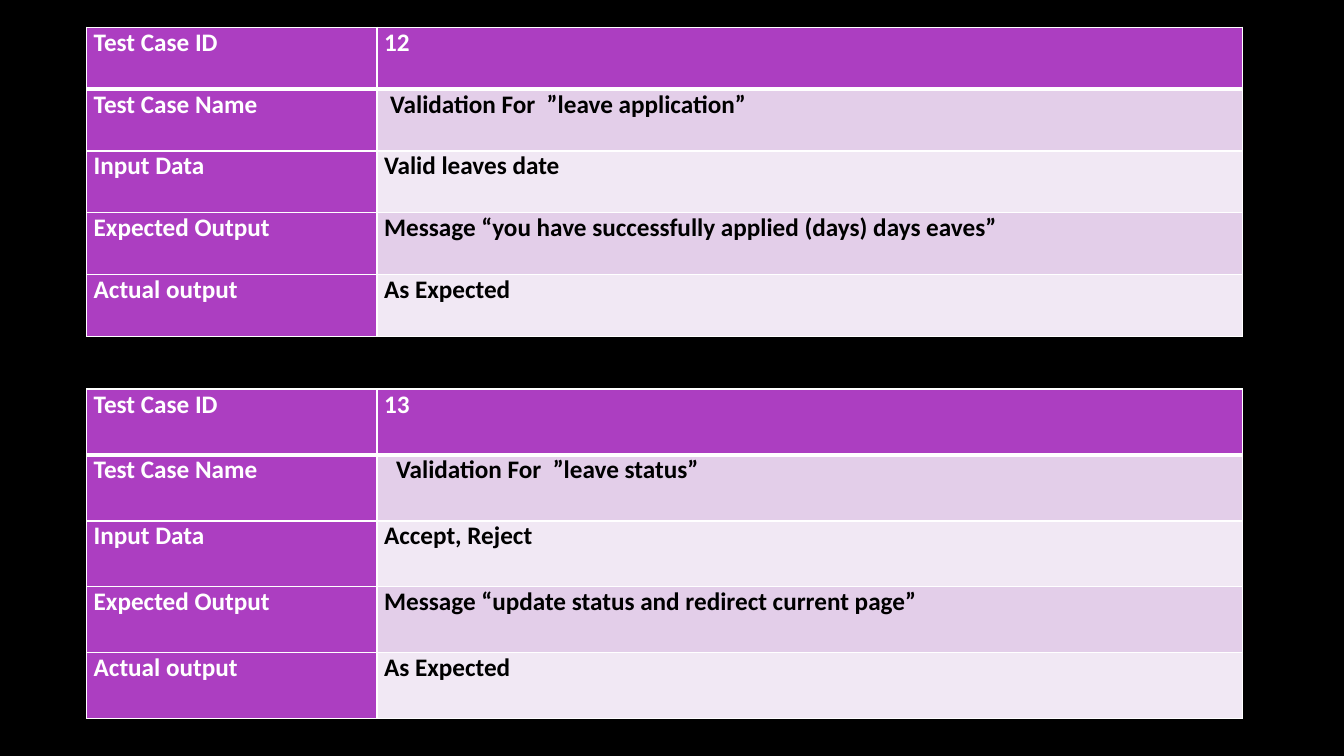
from lxml.etree import SubElement
from pptx import Presentation
from pptx.dml.color import RGBColor
from pptx.oxml.ns import qn
from pptx.util import Inches, Pt

COLORS = {
    "back": "000000",
    "head": "AC3EC1",
    "dark": "E3CEE9",
    "light": "F1E8F4",
    "line": "FFFFFF",
    "label": "FFFFFF",
    "value": "000000",
}
LABELS = ["Test Case ID", "Test Case Name", "Input Data", "Expected Output", "Actual output"]
CASES = [
    {
        "box": (0.86, 0.27, 11.46, 3.07),
        "indent": 0.06,
        "values": [
            "12",
            "Validation For  ”leave application”",
            "Valid leaves date",
            "Message “you have successfully applied (days) days eaves”",
            "As Expected",
        ],
    },
    {
        "box": (0.86, 3.86, 11.46, 3.27),
        "indent": 0.12,
        "values": [
            "13",
            "Validation For  ”leave status”",
            "Accept, Reject",
            "Message “update status and redirect current page”",
            "As Expected",
        ],
    },
]
LABEL_WIDTH = 2.88
NAME_ROW = 1


def color(name):
    """Return the named colour."""
    return RGBColor.from_string(COLORS[name])


def add_borders(cell, row):
    """Draw the cell borders, with a thick rule under the first row."""
    widths = {"L": 1, "R": 1, "T": 3 if row == 1 else 1, "B": 3 if row == 0 else 1}
    props = cell._tc.get_or_add_tcPr()
    for side, width in widths.items():
        line = SubElement(props, qn(f"a:ln{side}"), w=str(Pt(width)))
        fill = SubElement(line, qn("a:solidFill"))
        SubElement(fill, qn("a:srgbClr"), val=COLORS["line"])


def fill_cell(cell, text, row, is_head, indent=0):
    """Write and format one table cell."""
    add_borders(cell, row)
    band = "dark" if row % 2 else "light"
    cell.fill.solid()
    cell.fill.fore_color.rgb = color("head" if is_head else band)
    cell.margin_left = Inches(0.07 + indent)
    cell.margin_right = Inches(0.07)
    cell.margin_top = cell.margin_bottom = 0
    cell.text_frame.text = text
    font = cell.text_frame.paragraphs[0].runs[0].font
    font.name = "Calibri"
    font.size = Pt(18)
    font.bold = True
    font.color.rgb = color("label" if is_head else "value")


def add_case(slide, box, values, indent):
    """Add the table of one test case in the given box."""
    left, top, width, height = box
    frame = slide.shapes.add_table(
        len(LABELS), 2, Inches(left), Inches(top), Inches(width), Inches(height)
    )
    table = frame.table
    table.first_col = True
    table.columns[0].width = Inches(LABEL_WIDTH)
    table.columns[1].width = Inches(width - LABEL_WIDTH)
    for row, (label, value) in enumerate(zip(LABELS, values)):
        table.rows[row].height = Inches(height / len(LABELS))
        fill_cell(table.cell(row, 0), label, row, True)
        fill_cell(table.cell(row, 1), value, row, row == 0, indent if row == NAME_ROW else 0)


def main():
    """Build the slide with both test cases."""
    deck = Presentation()
    deck.slide_width = Inches(13.33)
    deck.slide_height = Inches(7.5)
    slide = deck.slides.add_slide(deck.slide_layouts[6])
    slide.background.fill.solid()
    slide.background.fill.fore_color.rgb = color("back")
    for case in CASES:
        add_case(slide, case["box"], case["values"], case["indent"])
    deck.save("out.pptx")


if __name__ == "__main__":
    main()
